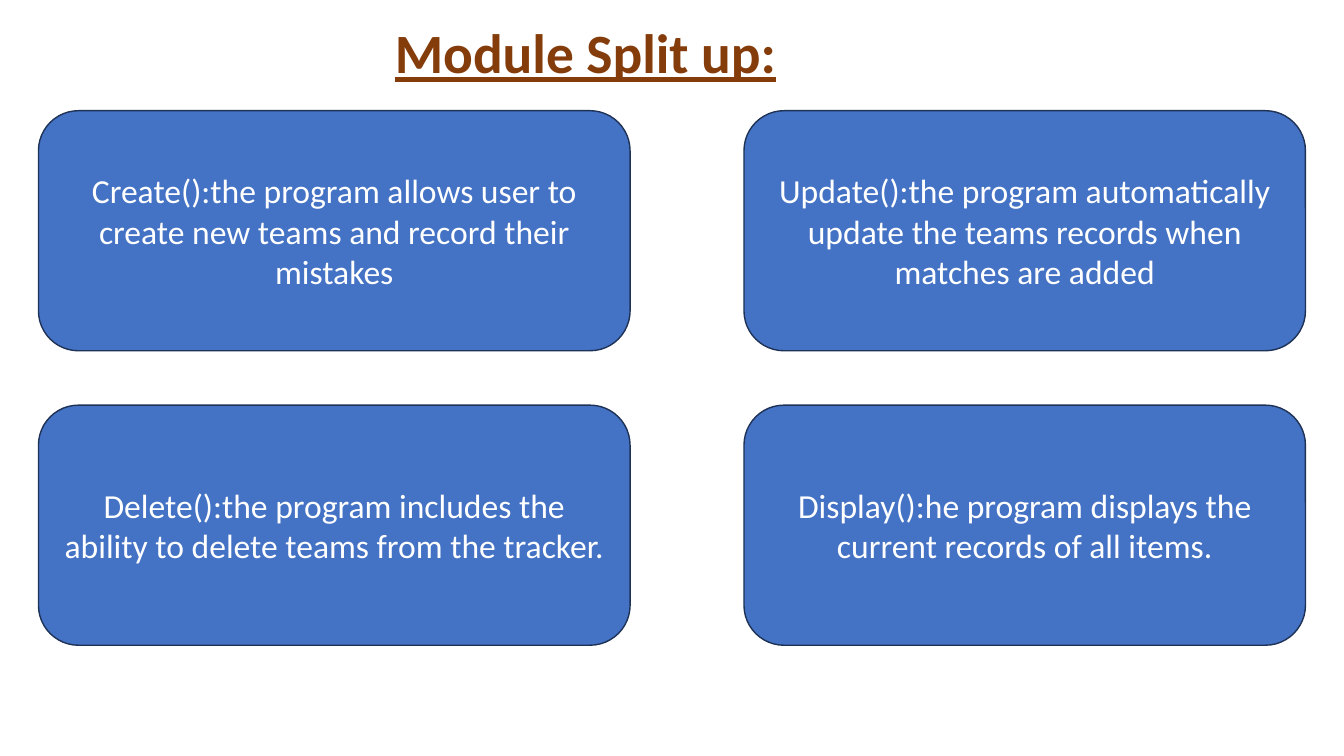
from pptx import Presentation
from pptx.dml.color import RGBColor
from pptx.enum.shapes import MSO_SHAPE as Preset
from pptx.enum.text import MSO_ANCHOR as Anchor, PP_ALIGN as Align
from pptx.util import Cm, Pt

TITLE_FORMAT = {"name": "Calibri", "size": Pt(39.6), "bold": True, "underline": True}
MODULE_FORMAT = {"name": "Calibri", "size": Pt(24)}
COLUMNS = [(0.97, 14.91), (18.75, 14.15)]
FIRST_ROW, ROW_PITCH, MODULE_HEIGHT = 2.79, 7.42, 6.05
MODULES = [
    [
        "Create():the program allows user to create new teams and record their mistakes",
        "Update():the program automatically update the teams records when matches are added",
    ],
    [
        "Delete():the program includes the ability to delete teams from the tracker.",
        "Display():he program displays the current records of all items.",
    ],
]


def color(hex_code):
    """Turn a hex string into a colour."""
    return RGBColor.from_string(hex_code)


def write(holder, wording, font_format, ink, align):
    """Write one vertically centred paragraph into a shape."""
    frame = holder.text_frame
    frame.word_wrap = True
    frame.vertical_anchor = Anchor.MIDDLE
    paragraph = frame.paragraphs[0]
    paragraph.alignment = align
    run = paragraph.add_run()
    run.text = wording
    for attribute, setting in font_format.items():
        setattr(run.font, attribute, setting)
    run.font.color.rgb = color(ink)
    return paragraph


def add_heading(slide, wording):
    """Add the underlined slide heading."""
    heading = slide.shapes.add_textbox(Cm(9.7), Cm(0.51), Cm(14.43), Cm(1.8))
    paragraph = write(heading, wording, TITLE_FORMAT, "843C0B", Align.LEFT)
    paragraph.line_spacing = 0.9


def add_module(slide, left, top, width, wording):
    """Add a rounded card describing one module."""
    module = slide.shapes.add_shape(
        Preset.ROUNDED_RECTANGLE, Cm(left), Cm(top), Cm(width), Cm(MODULE_HEIGHT)
    )
    module.shadow.inherit = False
    module.fill.solid()
    module.fill.fore_color.rgb = color("4472C4")
    module.line.color.rgb = color("1E3256")
    module.line.width = Pt(1)
    write(module, wording, MODULE_FORMAT, "FFFFFF", Align.CENTER)


def main():
    """Build and save the module overview slide."""
    deck = Presentation()
    deck.slide_width, deck.slide_height = Cm(33.87), Cm(19.05)
    slide = deck.slides.add_slide(deck.slide_layouts[6])
    add_heading(slide, "Module Split up:")
    for row, wordings in enumerate(MODULES):
        for (left, width), wording in zip(COLUMNS, wordings):
            add_module(slide, left, FIRST_ROW + row * ROW_PITCH, width, wording)
    deck.save("out.pptx")


if __name__ == "__main__":
    main()
